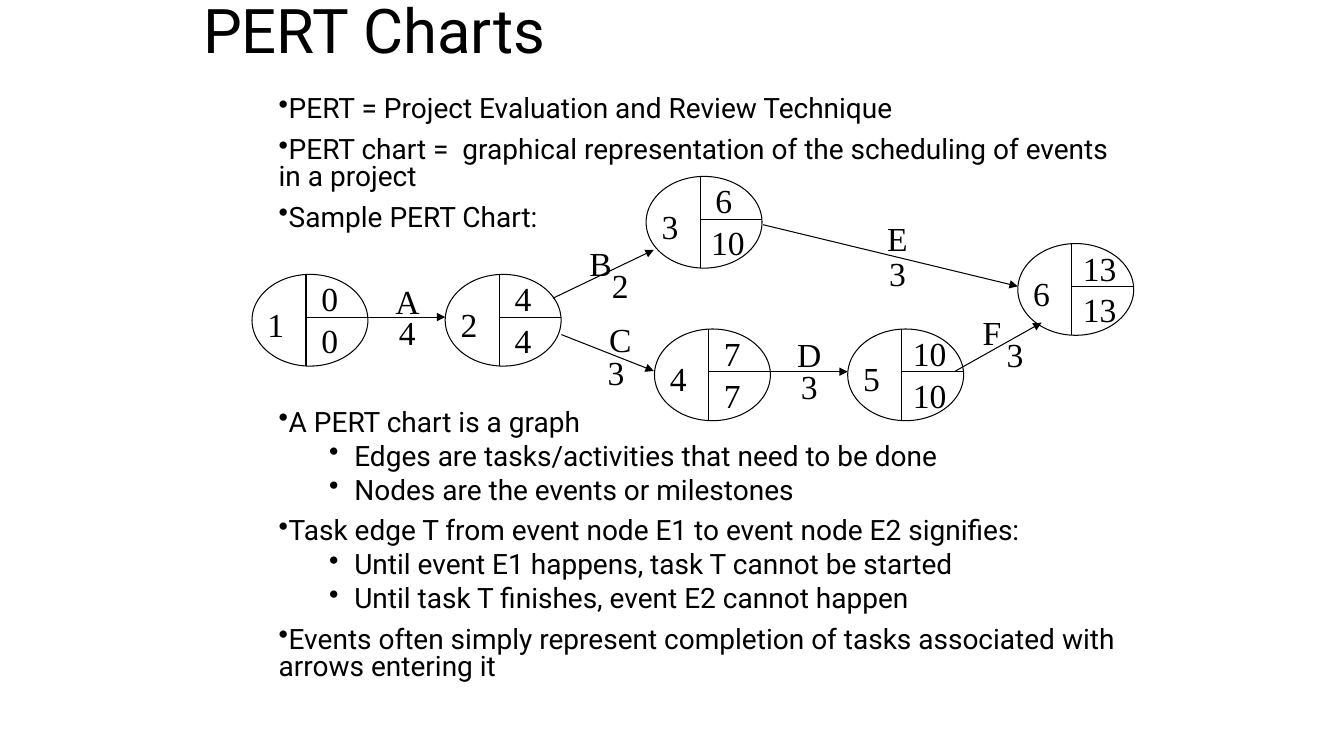
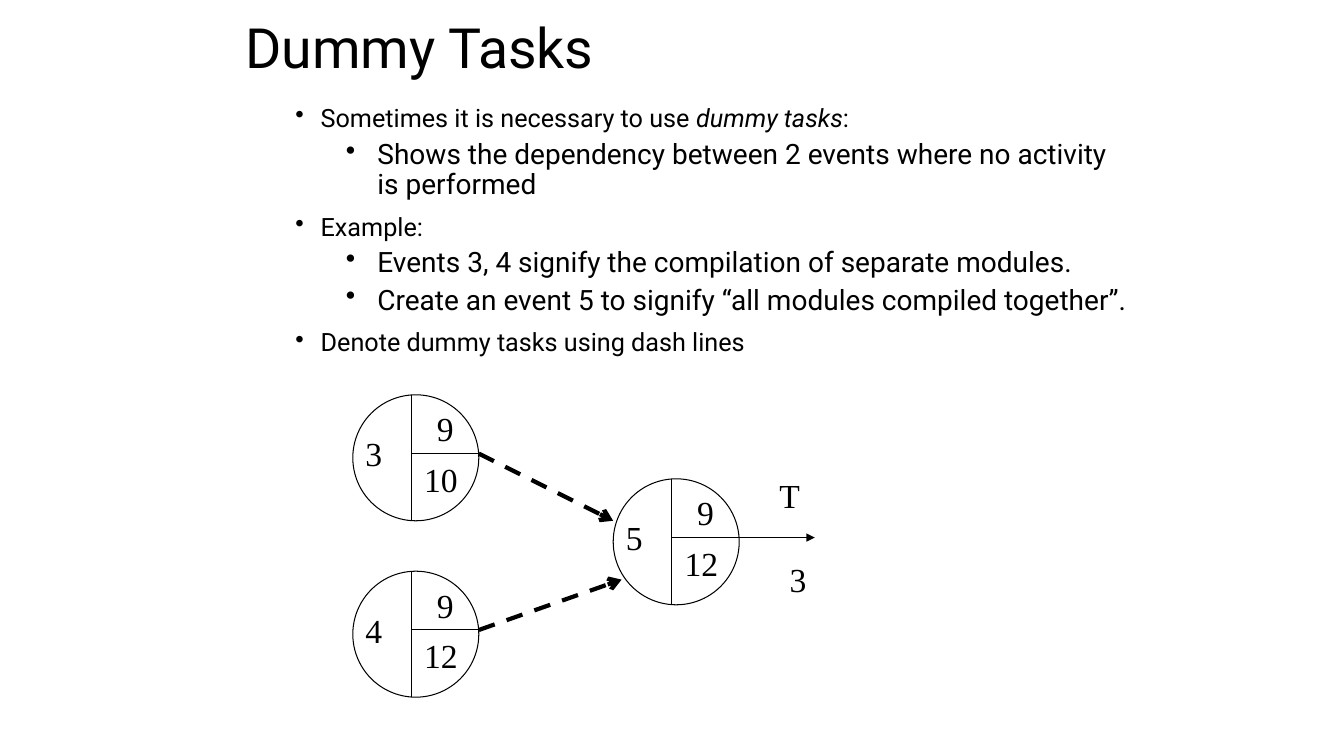
from dataclasses import dataclass

from lxml.etree import SubElement
from pptx import Presentation
from pptx.dml.color import RGBColor
from pptx.enum.dml import MSO_LINE
from pptx.enum.shapes import MSO_CONNECTOR, MSO_SHAPE
from pptx.enum.text import MSO_ANCHOR, PP_ALIGN
from pptx.oxml.ns import qn
from pptx.util import Pt

BLACK = RGBColor(0x00, 0x00, 0x00)
WHITE = RGBColor(0xFF, 0xFF, 0xFF)
TEXT_FONT = "Roboto"
DIAGRAM_FONT = "Times New Roman"
LABEL_SIZE = 24
LABEL_WIDTH, LABEL_HEIGHT = 40, 36
DIVIDER = 0.466


@dataclass
class NodeStyle:
    width: float
    height: float
    number_x: float
    number_top: float
    value_x: float
    wide_shift: float
    early_top: float
    late_top: float


@dataclass
class BodyStyle:
    line_spacing: float
    indents: tuple


PERT_NODE = NodeStyle(82.8, 65.5, 17, 17.3, 55.5, 3, -0.7, 29)
DUMMY_NODE = NodeStyle(90, 90, 15, 24, 66, -3, 6, 42)
PERT_BODY = BodyStyle(0.8, ((0, 0), (54, -18)))
DUMMY_BODY = BodyStyle(0.9, ((18, -18), (58.5, -22.5)))


def add_text_box(slide, left, top, width, height, wrap=True):
    frame = slide.shapes.add_textbox(Pt(left), Pt(top), Pt(width), Pt(height)).text_frame
    frame.word_wrap = wrap
    return frame


def add_run(paragraph, text, size=20, font=TEXT_FONT, italic=False):
    run = paragraph.add_run()
    run.text = text
    run.font.name = font
    run.font.size = Pt(size)
    run.font.italic = italic
    run.font.color.rgb = BLACK


def add_title(slide, text, left, top, width, height, size):
    frame = add_text_box(slide, left, top, width, height)
    frame.margin_top = frame.margin_bottom = 0
    frame.vertical_anchor = MSO_ANCHOR.MIDDLE
    frame.paragraphs[0].line_spacing = 0.9
    add_run(frame.paragraphs[0], text, size=size)


def add_body(slide, left, top, width, height, style, items):
    frame = add_text_box(slide, left, top, width, height)
    for index, (level, size, gap, texts) in enumerate(items):
        paragraph = frame.add_paragraph() if index else frame.paragraphs[0]
        paragraph.level = level
        margin, indent = style.indents[level]
        properties = paragraph._p.get_or_add_pPr()
        properties.set("marL", str(Pt(margin)))
        properties.set("indent", str(Pt(indent)))
        SubElement(properties, qn("a:buChar")).set("char", "•")
        paragraph.line_spacing = style.line_spacing
        paragraph.space_before = Pt(gap if index else 0)
        for position, text in enumerate(texts):
            add_run(paragraph, text, size=size, italic=position % 2 == 1)


def add_label(slide, text, center, top):
    frame = add_text_box(slide, center - LABEL_WIDTH / 2, top, LABEL_WIDTH, LABEL_HEIGHT, wrap=False)
    frame.paragraphs[0].alignment = PP_ALIGN.CENTER
    add_run(frame.paragraphs[0], text, size=LABEL_SIZE, font=DIAGRAM_FONT)


def add_line(slide, start_x, start_y, end_x, end_y, width=0.75, dash=None, head=None):
    connector = slide.shapes.add_connector(
        MSO_CONNECTOR.STRAIGHT, Pt(start_x), Pt(start_y), Pt(end_x), Pt(end_y))
    connector.line.color.rgb = BLACK
    connector.line.width = Pt(width)
    if dash:
        connector.line.dash_style = dash
    if head:
        SubElement(connector.line._get_or_add_ln(), qn("a:tailEnd")).set("type", head)
    SubElement(connector._element.spPr, qn("a:effectLst"))


def add_node(slide, left, top, style, number, early, late):
    ellipse = slide.shapes.add_shape(
        MSO_SHAPE.OVAL, Pt(left), Pt(top), Pt(style.width), Pt(style.height))
    ellipse.shadow.inherit = False
    ellipse.fill.solid()
    ellipse.fill.fore_color.rgb = WHITE
    ellipse.line.color.rgb = BLACK
    ellipse.line.width = Pt(0.75)
    divider_x = left + style.width * DIVIDER
    divider_y = top + style.height * DIVIDER
    add_line(slide, divider_x, top, divider_x, top + style.height)
    add_line(slide, divider_x, divider_y, left + style.width, divider_y)
    add_label(slide, number, left + style.number_x, top + style.number_top)
    for value, value_top in ((early, style.early_top), (late, style.late_top)):
        shift = style.wide_shift if len(value) > 1 else 0
        add_label(slide, value, left + style.value_x + shift, top + value_top)


def add_diagram(slide, left, top, style, nodes, arrows, labels):
    for x, y, *values in nodes:
        add_node(slide, left + x, top + y, style, *values)
    for start_x, start_y, end_x, end_y, line_format in arrows:
        add_line(slide, left + start_x, top + start_y, left + end_x, top + end_y, **line_format)
    for text, center, label_top in labels:
        add_label(slide, text, left + center, top + label_top)


def build_pert_slide(slide):
    add_title(slide, "PERT Charts", 138, 0, 648, 48, size=44)
    add_body(slide, 192, 66, 624, 426, PERT_BODY, [
        (0, 20, 0, ["PERT = Project Evaluation and Review Technique"]),
        (0, 20, 10, ["PERT chart =  graphical representation of the scheduling of events in a project"]),
        (0, 20, 10, ["Sample PERT Chart:"]),
        (0, 20, 127, ["A PERT chart is a graph"]),
        (1, 20, 5, ["Edges are tasks/activities that need to be done"]),
        (1, 20, 5, ["Nodes are the events or milestones"]),
        (0, 20, 10, ["Task edge T from event node E1 to event node E2 signifies:"]),
        (1, 20, 5, ["Until event E1 happens, task T cannot be started"]),
        (1, 20, 5, ["Until task T finishes, event E2 cannot happen"]),
        (0, 20, 10, ["Events often simply represent completion of tasks associated with arrows entering it"]),
    ])
    task = {"head": "triangle"}
    nodes = [
        (0, 70, "1", "0", "0"),
        (138, 70, "2", "4", "4"),
        (281.5, 0, "3", "6", "10"),
        (287.5, 109, "4", "7", "7"),
        (425.5, 109, "5", "10", "10"),
        (547, 48, "6", "13", "13"),
    ]
    arrows = [
        (83, 100.5, 138, 100.5, task),
        (215, 87, 287, 52.5, task),
        (221, 113, 287, 139, task),
        (365, 139.5, 425.5, 139.5, task),
        (365, 34.5, 547, 78.5, task),
        (502.5, 139, 564, 104.5, task),
    ]
    labels = [
        ("A", 111, 71), ("4", 111, 93.5),
        ("B", 249, 44), ("2", 263, 60),
        ("C", 263, 98.5), ("3", 260, 121.5),
        ("D", 398, 109), ("3", 398, 132),
        ("E", 461, 26), ("3", 461, 51),
        ("F", 528.5, 93.5), ("3", 545, 109),
    ]
    add_diagram(slide, 180, 126, PERT_NODE, nodes, arrows, labels)


def build_dummy_slide(slide):
    add_title(slide, "Dummy Tasks", 168, 12, 612, 48, size=39.6)
    add_body(slide, 204, 72, 612, 216, DUMMY_BODY, [
        (0, 18, 0, ["Sometimes it is necessary to use ", "dummy tasks", ":"]),
        (1, 20, 5, ["Shows the dependency between 2 events where no activity is performed"]),
        (0, 18, 10, ["Example:"]),
        (1, 20, 5, ["Events 3, 4 signify the compilation of separate modules."]),
        (1, 20, 5, ["Create an event 5 to signify “all modules compiled together”."]),
        (0, 18, 10, ["Denote dummy tasks using dash lines"]),
    ])
    dummy = {"width": 3, "dash": MSO_LINE.DASH, "head": "arrow"}
    nodes = [
        (0, 0, "3", "9", "10"),
        (0, 126, "4", "9", "12"),
        (186, 60, "5", "9", "12"),
    ]
    arrows = [
        (90, 168, 192, 132, dummy),
        (90, 42, 186, 90, dummy),
        (276, 102, 330, 102, {"head": "triangle"}),
    ]
    add_diagram(slide, 252, 282, DUMMY_NODE, nodes, arrows, [("T", 312, 54), ("3", 318, 114)])


def main():
    presentation = Presentation()
    presentation.slide_width = Pt(960)
    presentation.slide_height = Pt(540)
    for build_slide in (build_pert_slide, build_dummy_slide):
        build_slide(presentation.slides.add_slide(presentation.slide_layouts[6]))
    presentation.save("out.pptx")


if __name__ == "__main__":
    main()
